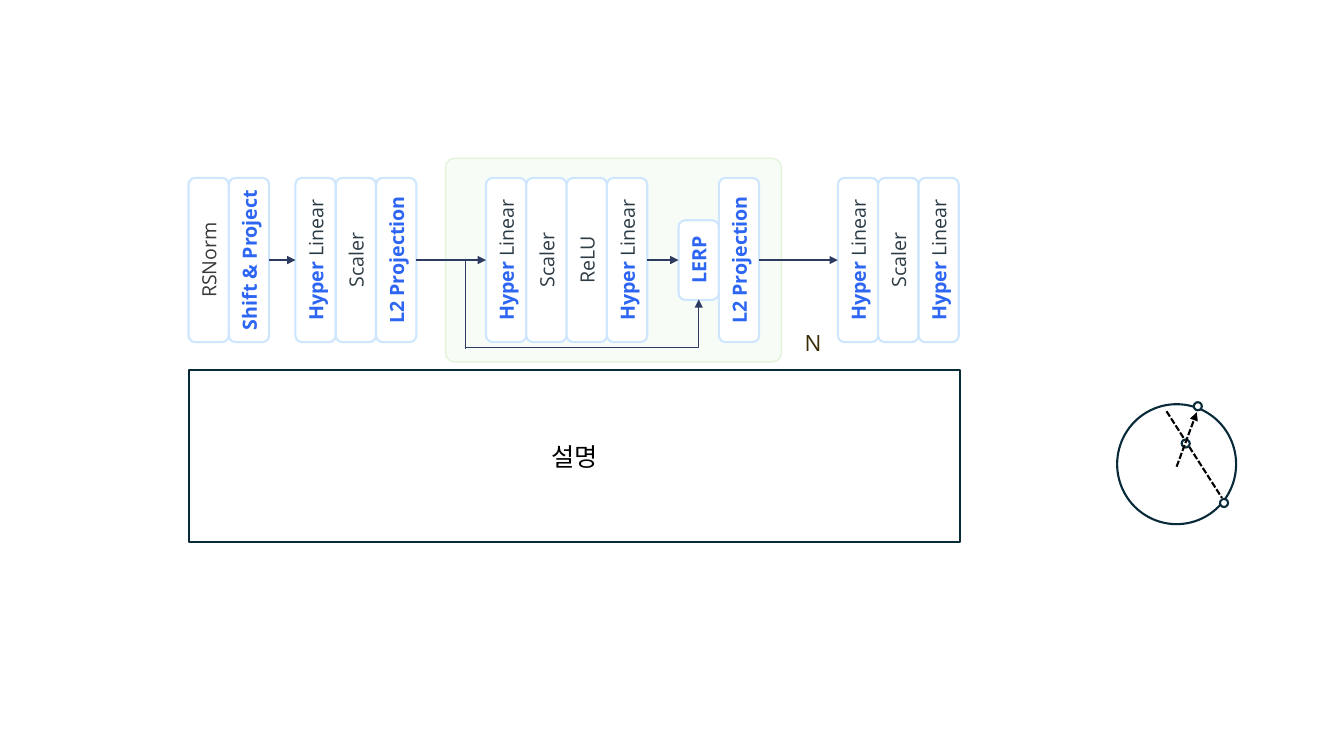
import pptx
import pptx.dml.color
import pptx.enum.dml
import pptx.enum.shapes
import pptx.enum.text
import pptx.oxml.ns
import pptx.util
from lxml import etree

Inches, Pt = pptx.util.Inches, pptx.util.Pt
SHAPE = pptx.enum.shapes.MSO_SHAPE
CONNECTOR = pptx.enum.shapes.MSO_CONNECTOR
rgb = pptx.dml.color.RGBColor.from_string
qn = pptx.oxml.ns.qn

NAVY, INK, BLUE = "2E3B60", "092A39", "2D66F3"
MIDDLE = 2.58
BLOCK_W, BLOCK_H, LERP_H = 0.4, 1.63, 0.79

prs = pptx.Presentation()
prs.slide_width, prs.slide_height = Inches(13.33), Inches(7.5)
s = prs.slides.add_slide(prs.slide_layouts[6])


def add_box(kind, left, top, width, height, line, fill=None, weight=1.5):
    sp = s.shapes.add_shape(kind, Inches(left), Inches(top), Inches(width), Inches(height))
    sp.shadow.inherit = False
    if fill:
        sp.fill.solid()
        sp.fill.fore_color.rgb = rgb(fill)
    else:
        sp.fill.background()
    sp.line.color.rgb = rgb(line)
    sp.line.width = Pt(weight)
    return sp


def add_line(start, end, color=NAVY, weight=1, dashed=False, arrow=True, kind=CONNECTOR.STRAIGHT):
    cn = s.shapes.add_connector(kind, *[Inches(v) for v in (*start, *end)])
    cn.line.color.rgb = rgb(color)
    cn.line.width = Pt(weight)
    if dashed:
        cn.line.dash_style = pptx.enum.dml.MSO_LINE.SQUARE_DOT
    if arrow:
        etree.SubElement(cn.line._get_or_add_ln(), qn("a:tailEnd"), type="triangle")
    etree.SubElement(cn._element.spPr, qn("a:effectLst"))
    return cn


# Repeated stage
panel = add_box(SHAPE.ROUNDED_RECTANGLE, 4.42, 1.57, 3.33, 2.02, "E2F5DB", "F8FCF6", 1)
panel.adjustments[0] = 0.044

# Blocks, group by group: runs are (text, colour, bold)
scaler = [("Scaler", "2E3C46", False)]
hyper_linear = [("Hyper", BLUE, True), (" Linear", "2B3B45", False)]
l2_projection = [("L2 Projection", BLUE, True)]
lerp = [("LERP", BLUE, True)]
groups = [
    (1.87, [[("RSNorm", "3A3A3A", False)], [("Shift & Project", BLUE, True)]]),
    (2.93, [hyper_linear, scaler, l2_projection]),
    (4.82, [hyper_linear, scaler, [("ReLU", "2E3C46", False)], hyper_linear]),
    (6.73, [lerp, l2_projection]),
    (8.31, [hyper_linear, scaler, hyper_linear]),
]
ends = []
for left, labels in groups:
    blocks = []
    for i, runs in enumerate(labels):
        height = LERP_H if runs is lerp else BLOCK_H
        sp = add_box(SHAPE.ROUNDED_RECTANGLE, left + i * BLOCK_W, MIDDLE - height / 2,
                     BLOCK_W, height, "CEE6FE", "FFFFFF")
        tf = sp.text_frame
        tf._txBody.bodyPr.set("vert", "vert270")
        tf.margin_left = tf.margin_right = tf.margin_top = tf.margin_bottom = 0
        tf.vertical_anchor = pptx.enum.text.MSO_ANCHOR.MIDDLE
        p = tf.paragraphs[0]
        p.alignment = pptx.enum.text.PP_ALIGN.CENTER
        for text, color, bold in runs:
            r = p.add_run()
            r.text = text
            r.font.name, r.font.size, r.font.bold = "Open Sans", Pt(14), bold
            r.font.color.rgb = rgb(color)
        blocks.append(sp)
    ends.append((blocks[0], blocks[-1]))

# Arrows between neighbouring groups
for (_, source), (target, _) in zip(ends, ends[1:]):
    cn = add_line((0, 0), (1, 1))
    cn.begin_connect(source, 3)
    cn.end_connect(target, 1)

# Skip path into LERP
add_line((4.62, MIDDLE), (4.62, 3.46), arrow=False)
skip = add_line((4.62, 3.45), (6.93, 2.97), kind=CONNECTOR.ELBOW)
skip._element.spPr.find(qn("a:prstGeom")).set("prst", "bentConnector2")

# Interpolation on the sphere: each node is followed by the line drawn over it
add_box(SHAPE.OVAL, 11.08, 4.01, 1.18, 1.19, INK)
for left, top, ray in [
    (12.1, 4.95, ((11.57, 4.08), (12.12, 4.94), False)),
    (11.72, 4.36, ((11.67, 4.63), (11.87, 4.09), True)),
    (11.84, 3.99, None),
]:
    add_box(SHAPE.OVAL, left, top, 0.08, 0.08, INK, "FFFFFF")
    if ray:
        start, end, arrow = ray
        add_line(start, end, "000000", 1.5, dashed=True, arrow=arrow)

# Repeat count and description
count = s.shapes.add_textbox(Inches(7.83), Inches(3.2), Inches(0.47), Inches(0.4))
description = add_box(SHAPE.RECTANGLE, 1.87, 3.67, 7.65, 1.71, INK)
for sp, text, font, size, color in [
    (count, "N", "Open Sans", 16, "3B2D06"),
    (description, "설명", "Noto Sans CJK KR", 18, "000000"),
]:
    tf = sp.text_frame
    tf.word_wrap = True
    tf.vertical_anchor = pptx.enum.text.MSO_ANCHOR.MIDDLE
    p = tf.paragraphs[0]
    p.alignment = pptx.enum.text.PP_ALIGN.CENTER
    r = p.add_run()
    r.text = text
    r.font.name, r.font.size = font, Pt(size)
    r.font.color.rgb = rgb(color)
    etree.SubElement(r._r.get_or_add_rPr(), qn("a:ea"), typeface=font)

prs.save("out.pptx")
